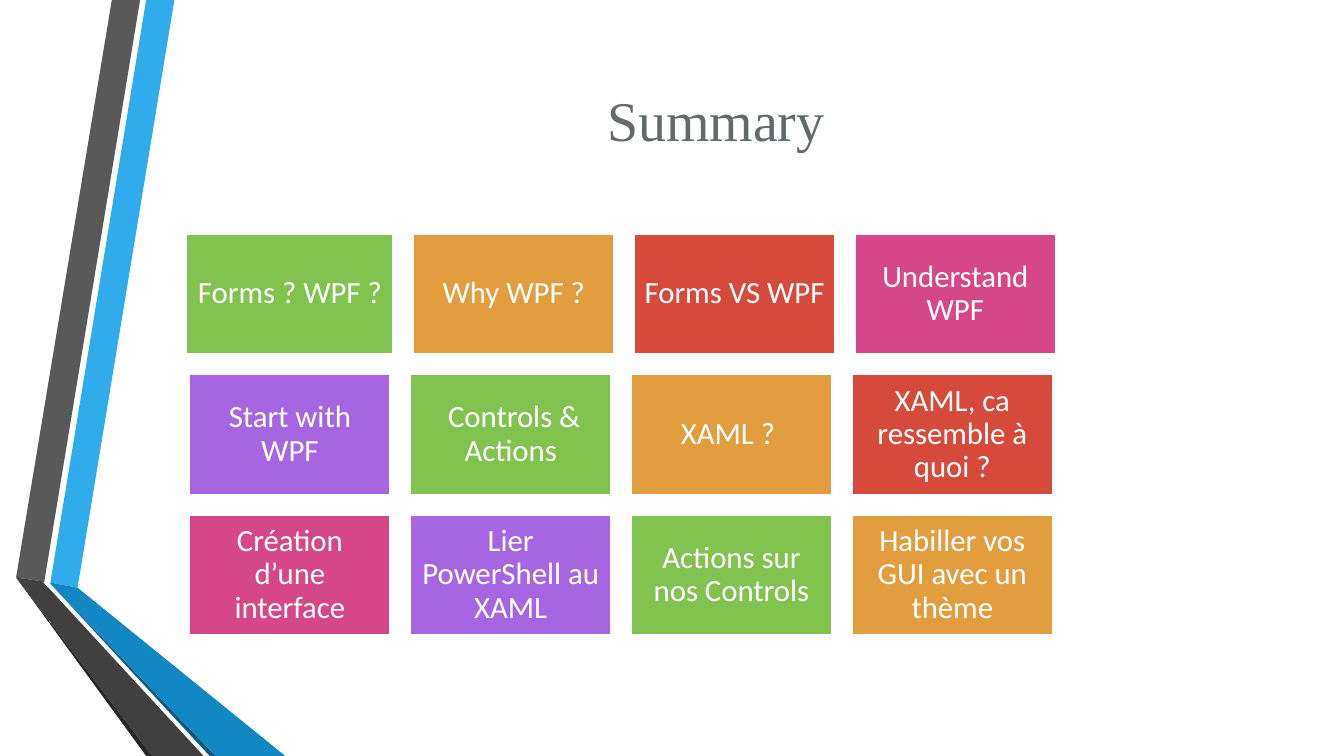
from itertools import cycle

from pptx import Presentation
from pptx.dml.color import RGBColor
from pptx.enum.shapes import MSO_SHAPE as Shape
from pptx.enum.text import MSO_ANCHOR as Anchor, PP_ALIGN as Align
from pptx.util import Inches, Pt

WIDTH, HEIGHT = 13.33, 7.5
TOPICS = [
    ["Forms ? WPF ?", "Why WPF ?", "Forms VS WPF", "Understand WPF"],
    ["Start with WPF", " Controls & Actions", "XAML ? ", "XAML, ca ressemble à quoi ?"],
    ["Création d’une interface", "Lier PowerShell au XAML", "Actions sur nos Controls",
     "Habiller vos GUI avec un thème"],
]
TILE_COLOURS = ["80C34F", "E29D3E", "D64A3B", "D64787", "A666E1"]
RIBBONS = [
    ("30ACEC", [(0.5, 5.78), (0.77, 5.83), (1.73, 0), (1.45, 0)]),
    ("595959", [(1.39, 0), (1.11, 0), (0.16, 5.73), (0.44, 5.77)]),
    ("262626", [(0.16, 5.73), (1.45, 7.5), (1.51, 7.5)]),
    ("0C5A82", [(0.5, 5.79), (2.08, 7.5), (2.14, 7.5)]),
    ("1287C3", [(0.5, 5.79), (2.14, 7.5), (2.83, 7.5), (0.77, 5.83), (0.5, 5.78)]),
    ("404040", [(2.02, 7.5), (0.48, 5.83), (0.43, 5.78), (0.44, 5.77), (0.16, 5.73), (1.51, 7.5)]),
]


def colour(code):
    """Turn a hex string into a colour."""
    return RGBColor.from_string(code)


def paint(shape, code):
    """Give a shape a flat fill without a shadow."""
    shape.shadow.inherit = False
    shape.fill.solid()
    shape.fill.fore_color.rgb = colour(code)


def write(shape, text, font, size, code):
    """Set one centred paragraph in the middle of a shape."""
    frame = shape.text_frame
    frame.word_wrap = True
    frame.vertical_anchor = Anchor.MIDDLE
    para = frame.paragraphs[0]
    para.text = text
    para.alignment = Align.CENTER
    para.font.name, para.font.size = font, Pt(size)
    para.font.color.rgb = colour(code)
    return frame


def draw_ribbons(page, left, top):
    """Draw the folded ribbons from the given corner."""
    for code, corners in RIBBONS:
        points = [(Inches(left + x), Inches(top + y)) for x, y in corners]
        builder = page.shapes.build_freeform(*points[0])
        builder.add_line_segments(points[1:], close=True)
        ribbon = builder.convert_to_shape()
        paint(ribbon, code)
        ribbon.line.fill.background()


def draw_title(page, left, top, width, height):
    """Place the slide title in its box."""
    box = page.shapes.add_textbox(*map(Inches, (left, top, width, height)))
    write(box, "Summary", "Times New Roman", 40, "636A6C")


def draw_tile(page, text, code, left, top, width, height):
    """Draw one coloured topic tile."""
    tile = page.shapes.add_shape(Shape.RECTANGLE, *map(Inches, (left, top, width, height)))
    paint(tile, code)
    tile.line.color.rgb = colour("FFFFFF")
    tile.line.width = Pt(1.25)
    frame = write(tile, text, "Calibri", 22, "FFFFFF")
    frame.paragraphs[0].line_spacing = 0.9
    frame.margin_left = frame.margin_right = Inches(0.09)
    frame.margin_top = frame.margin_bottom = Inches(0.09)


def draw_topics(page, left, top, width, height, gap=0.2, tile_width=1.99):
    """Lay out centred rows of tiles, the first tile filling the spare width."""
    tile_height = (height - gap * (len(TOPICS) - 1)) / len(TOPICS)
    colours = cycle(TILE_COLOURS)
    for row, topics in enumerate(TOPICS):
        widths = [tile_width] * len(topics)
        if row == 0:
            widths[0] = width - (tile_width + gap) * (len(topics) - 1)
        x = left + (width - sum(widths) - gap * (len(topics) - 1)) / 2
        y = top + row * (tile_height + gap)
        for text, wide in zip(topics, widths):
            draw_tile(page, text, next(colours), x, y, wide, tile_height)
            x += wide + gap


def main():
    """Build and save the summary slide."""
    deck = Presentation()
    deck.slide_width, deck.slide_height = Inches(WIDTH), Inches(HEIGHT)
    page = deck.slides.add_slide(deck.slide_layouts[6])
    draw_ribbons(page, 0, 0)
    draw_topics(page, 1.85, 2.32, 8.62, 3.98)
    draw_title(page, 1.62, HEIGHT / 10, 10.96, 0.86)
    deck.save("out.pptx")


if __name__ == "__main__":
    main()
